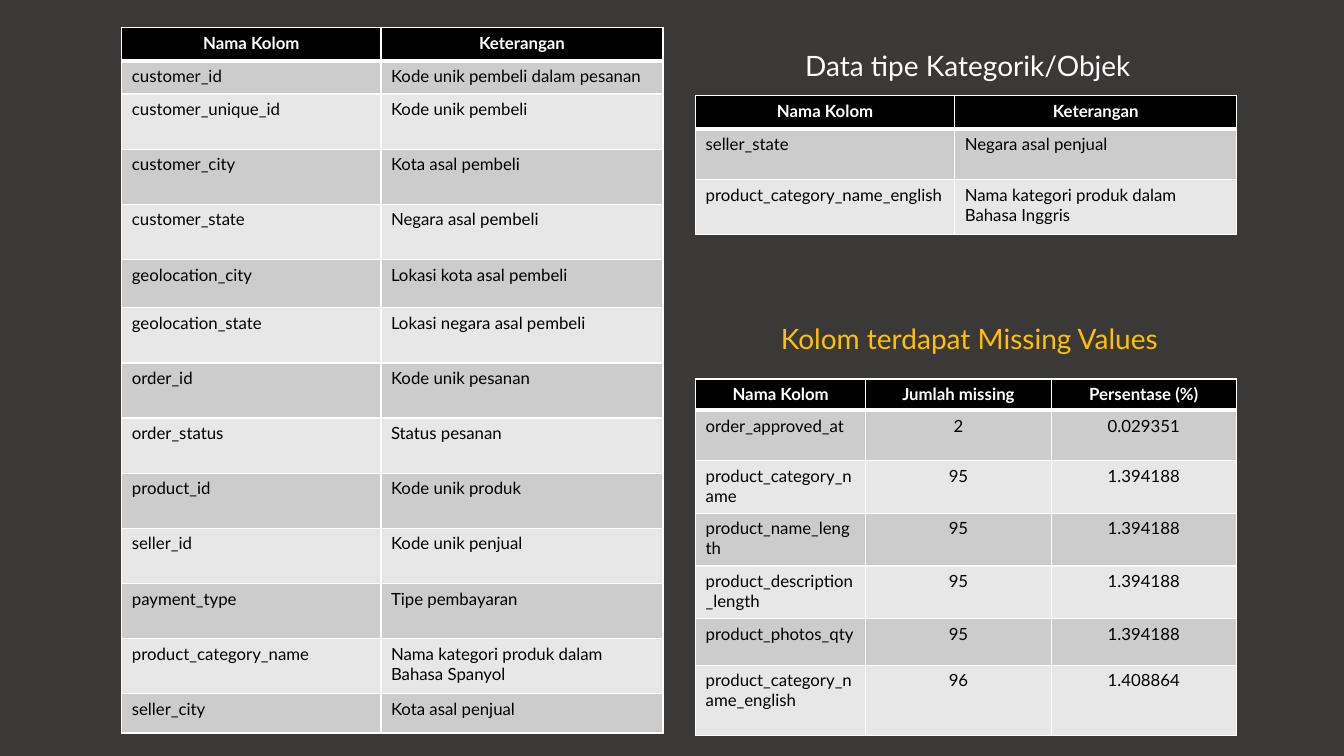
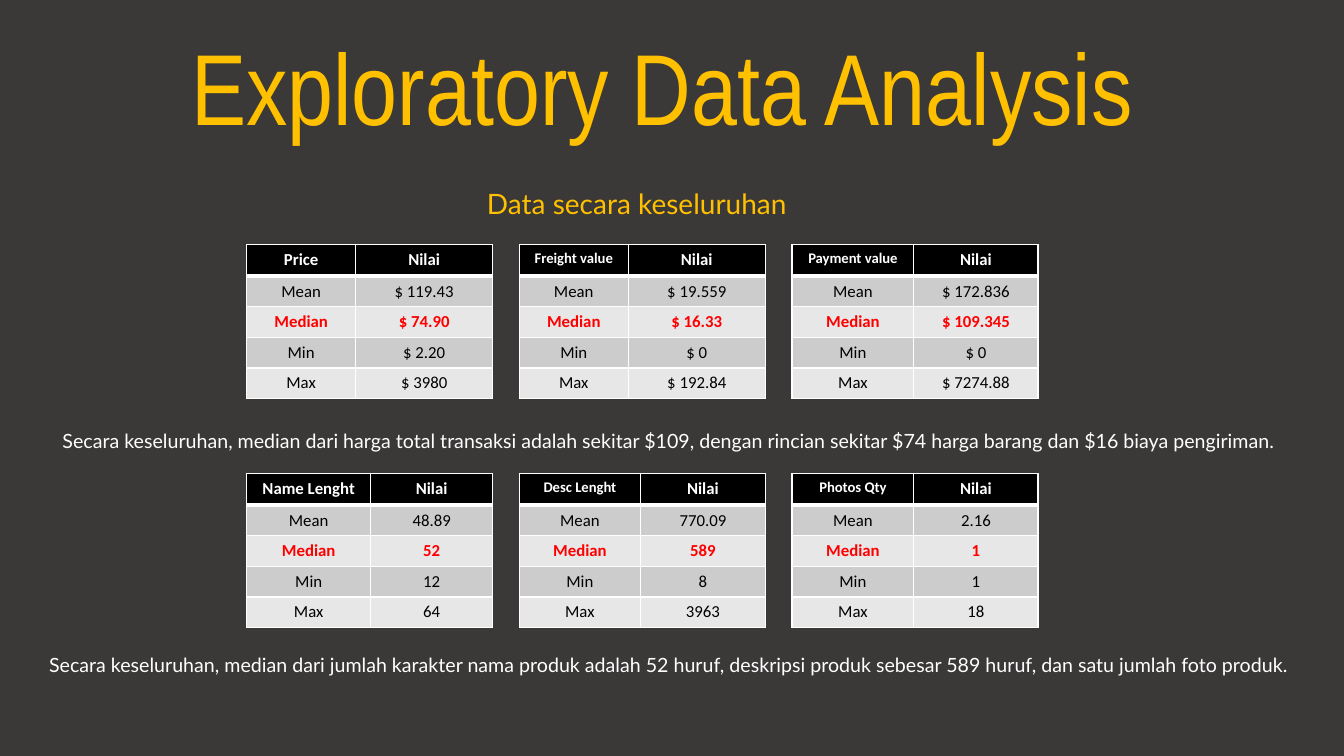
import dataclasses

import lxml.etree
import pptx
import pptx.dml.color
import pptx.enum.text
import pptx.oxml.ns
import pptx.util

Cm = pptx.util.Cm
Pt = pptx.util.Pt
ALIGN = pptx.enum.text.PP_ALIGN
ANCHOR = pptx.enum.text.MSO_ANCHOR


@dataclasses.dataclass(frozen=True)
class Theme:
    background: str = "3B3838"
    accent: str = "FFC000"
    light: str = "FFFFFF"
    dark: str = "000000"
    highlight: str = "FF0000"
    bands: tuple = ("CCCCCC", "E7E7E7")
    title_font: str = "Arial Narrow"
    text_font: str = "Lato"
    number_font: str = "Calibri"
    title_size: float = 72
    heading_size: float = 20
    caption_size: float = 14
    table_size: float = 12
    small_size: float = 10.5
    border: float = 1
    header_rule: float = 3


THEME = Theme()

TEXT_COLUMNS = (6.53, 7.11)
MISSING_COLUMNS = (4.29, 4.67, 4.67)
TEXT_HEADER = ("Nama Kolom", "Keterangan")
HEADING_HEIGHT = 1.52

CUSTOMER_ROWS = [
    TEXT_HEADER,
    ("customer_id", "Kode unik pembeli dalam pesanan"),
    ("customer_unique_id", "Kode unik pembeli"),
    ("customer_city", "Kota asal pembeli"),
    ("customer_state", "Negara asal pembeli"),
    ("geolocation_city", "Lokasi kota asal pembeli"),
    ("geolocation_state", "Lokasi negara asal pembeli"),
    ("order_id", "Kode unik pesanan"),
    ("order_status", "Status pesanan"),
    ("product_id", "Kode unik produk"),
    ("seller_id", "Kode unik penjual"),
    ("payment_type", "Tipe pembayaran"),
    ("product_category_name", "Nama kategori produk dalam Bahasa Spanyol"),
    ("seller_city", "Kota asal penjual"),
]
CUSTOMER_HEIGHTS = [0.84] * 2 + [1.39] * 3 + [1.22] + [1.39] * 7 + [0.99]

SELLER_ROWS = [
    TEXT_HEADER,
    ("seller_state", "Negara asal penjual"),
    ("product_category_name_english", "Nama kategori produk dalam Bahasa Inggris"),
]
SELLER_HEIGHTS = [0.84, 1.27, 1.39]

MISSING_ROWS = [
    ("Nama Kolom", "Jumlah missing", "Persentase (%)"),
    ("order_approved_at", "2", "0.029351"),
    ("product_category_name", "95", "1.394188"),
    ("product_name_length", "95", "1.394188"),
    ("product_description_length", "95", "1.394188"),
    ("product_photos_qty", "95", "1.394188"),
    ("product_category_name_english", "96", "1.408864"),
]
MISSING_HEIGHTS = [0.79, 1.26, 1.33, 1.33, 1.33, 1.17, 1.77]

STATISTICS = ("Mean", "Median", "Min", "Max")
STATISTIC_HEIGHTS = [0.79] + [0.77] * 4
STATISTIC_WIDTH = 6.2
STATISTIC_STEP = 6.87

# Each entry: heading, width of the first column, values by statistic
PRICE_STATISTICS = [
    ("Price", 2.74, ("$ 119.43", "$ 74.90", "$ 2.20", "$ 3980")),
    ("Freight value", 2.74, ("$ 19.559", "$ 16.33", "$ 0", "$ 192.84")),
    ("Payment value", 3.07, ("$ 172.836", "$ 109.345", "$ 0", "$ 7274.88")),
]
PRODUCT_STATISTICS = [
    ("Name Lenght", 3.12, ("48.89", "52", "12", "64")),
    ("Desc Lenght", 3.05, ("770.09", "589", "8", "3963")),
    ("Photos Qty", 3.07, ("2.16", "1", "1", "18")),
]
PRICE_CAPTION = (
    "Secara keseluruhan, median dari harga total transaksi adalah sekitar $109, "
    "dengan rincian sekitar $74 harga barang dan $16 biaya pengiriman."
)
PRODUCT_CAPTION = (
    "Secara keseluruhan, median dari jumlah karakter nama produk adalah 52 huruf, "
    "deskripsi produk sebesar 589 huruf, dan satu jumlah foto produk."
)


def set_attributes(target, values):
    for name, value in values.items():
        setattr(target, name, value)


def rgb(color):
    return pptx.dml.color.RGBColor.from_string(color)


def write_text(paragraph, text, font, size, color, bold=False, **paragraph_format):
    set_attributes(paragraph, paragraph_format)
    run = paragraph.add_run()
    run.text = text
    set_attributes(run.font, {"name": font, "size": Pt(size), "bold": bold})
    run.font.color.rgb = rgb(color)


def place_line(shape, box, anchor, text, font, size, color, space_before=10):
    """Move a text shape to box (left, top, width, height) and centre one line in it."""
    set_attributes(shape, dict(zip(("left", "top", "width", "height"), map(Cm, box))))
    set_attributes(shape.text_frame, {
        "word_wrap": True,
        "auto_size": pptx.enum.text.MSO_AUTO_SIZE.NONE,
        "vertical_anchor": anchor,
    })
    write_text(shape.text_frame.paragraphs[0], text, font, size, color,
               alignment=ALIGN.CENTER, line_spacing=0.9, space_before=Pt(space_before))


def add_line(slide, box, text, size, color):
    shape = slide.shapes.add_textbox(0, 0, 0, 0)
    place_line(shape, box, ANCHOR.BOTTOM, text, THEME.text_font, size, color)


def set_borders(cell, widths):
    """Draw cell borders; widths are points for left, right, top and bottom."""
    properties = cell._tc.get_or_add_tcPr()
    for side, width in zip("LRTB", widths):
        line = lxml.etree.SubElement(properties, pptx.oxml.ns.qn(f"a:ln{side}"),
                                     w=str(Pt(width)))
        fill = lxml.etree.SubElement(line, pptx.oxml.ns.qn("a:solidFill"))
        lxml.etree.SubElement(fill, pptx.oxml.ns.qn("a:srgbClr"), val=THEME.light)


def format_cell(cell, row_index):
    border, rule = THEME.border, THEME.header_rule
    set_borders(cell, (border, border,
                       rule if row_index == 1 else border,
                       rule if row_index == 0 else border))
    cell.fill.solid()
    band = THEME.bands[(row_index - 1) % 2]
    cell.fill.fore_color.rgb = rgb(band if row_index else THEME.dark)


def add_data_table(slide, left, top, widths, heights, rows, font=THEME.text_font,
                   left_columns=(0,), first_size=THEME.table_size, emphasis=None):
    """Add a banded table; the row that starts with emphasis is bold and red."""
    frame = slide.shapes.add_table(len(rows), len(widths), Cm(left), Cm(top),
                                   Cm(sum(widths)), Cm(sum(heights)))
    table = frame.table
    table.horz_banding = False
    for column, width in zip(table.columns, widths):
        column.width = Cm(width)
    for row, height in zip(table.rows, heights):
        row.height = Cm(height)
    for row_index, texts in enumerate(rows):
        is_header = row_index == 0
        is_emphasis = texts[0] == emphasis
        color = (THEME.light if is_header
                 else THEME.highlight if is_emphasis else THEME.dark)
        for column_index, text in enumerate(texts):
            cell = table.cell(row_index, column_index)
            format_cell(cell, row_index)
            is_left = not is_header and column_index in left_columns
            is_first = is_header and column_index == 0
            write_text(cell.text_frame.paragraphs[0], text, font,
                       first_size if is_first else THEME.table_size, color,
                       bold=is_header or is_emphasis,
                       alignment=ALIGN.LEFT if is_left else ALIGN.CENTER)


def add_statistics_band(slide, left, top, statistics):
    for index, (heading, first_width, values) in enumerate(statistics):
        add_data_table(
            slide, left + index * STATISTIC_STEP, top,
            (first_width, STATISTIC_WIDTH - first_width), STATISTIC_HEIGHTS,
            [(heading, "Nilai"), *zip(STATISTICS, values)],
            font=THEME.number_font, left_columns=(), emphasis="Median",
            first_size=THEME.small_size if index else THEME.table_size)


def add_slide(presentation):
    title_only = presentation.slide_layouts.get_by_name("Title Only")
    return presentation.slides.add_slide(title_only)


def build_columns_slide(presentation):
    slide = add_slide(presentation)
    top, right_column = 0.69, 17.53
    place_line(slide.shapes.title, (right_column, top, 13.72, HEADING_HEIGHT),
               ANCHOR.BOTTOM, "Data tipe Kategorik/Objek", THEME.text_font,
               THEME.heading_size, THEME.light)
    add_data_table(slide, 3.07, top, TEXT_COLUMNS, CUSTOMER_HEIGHTS, CUSTOMER_ROWS,
                   left_columns=(0, 1))
    add_data_table(slide, right_column, 2.41, TEXT_COLUMNS, SELLER_HEIGHTS, SELLER_ROWS,
                   left_columns=(0, 1))
    add_line(slide, (17.7, 7.57, 13.46, HEADING_HEIGHT), "Kolom terdapat Missing Values",
             THEME.heading_size, THEME.accent)
    add_data_table(slide, right_column, 9.55, MISSING_COLUMNS, MISSING_HEIGHTS,
                   MISSING_ROWS)


def build_analysis_slide(presentation):
    slide = add_slide(presentation)
    place_line(slide.shapes.title, (2.08, 0.51, 29.21, 3.68), ANCHOR.MIDDLE,
               "Exploratory Data Analysis", THEME.title_font, THEME.title_size,
               THEME.accent, space_before=0)
    add_line(slide, (9.32, 4.17, 13.46, HEADING_HEIGHT), "Data secara keseluruhan",
             THEME.heading_size, THEME.accent)
    for table_top, statistics, caption_top, caption in (
            (6.17, PRICE_STATISTICS, 10.01, PRICE_CAPTION),
            (11.94, PRODUCT_STATISTICS, 15.65, PRODUCT_CAPTION)):
        add_statistics_band(slide, 6.22, table_top, statistics)
        add_line(slide, (0.94, caption_top, 31.85, HEADING_HEIGHT), caption,
                 THEME.caption_size, THEME.light)


def main():
    presentation = pptx.Presentation()
    set_attributes(presentation, {"slide_width": Cm(33.87), "slide_height": Cm(19.05)})
    background = presentation.slide_master.background.fill
    background.solid()
    background.fore_color.rgb = rgb(THEME.background)
    build_columns_slide(presentation)
    build_analysis_slide(presentation)
    presentation.save("out.pptx")


if __name__ == "__main__":
    main()
